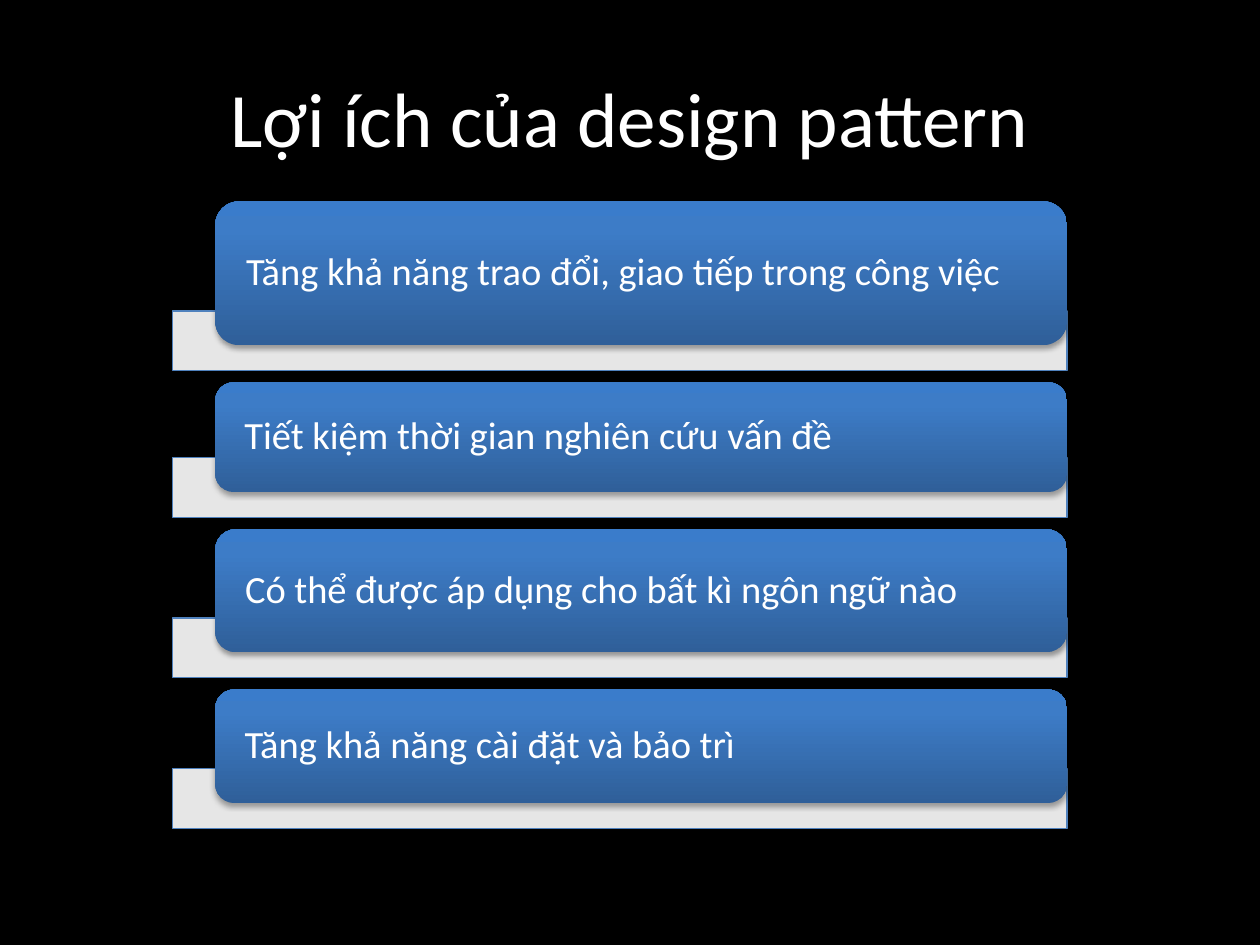
from dataclasses import dataclass

from lxml import etree
from pptx import Presentation
from pptx import util as u
from pptx.dml.color import RGBColor
from pptx.enum import shapes, text
from pptx.oxml import parse_xml
from pptx.oxml.ns import nsdecls, qn
from pptx.shapes.autoshape import Shape
from pptx.shapes.shapetree import GroupShapes

BLACK = RGBColor(0x00, 0x00, 0x00)
WHITE = RGBColor(0xFF, 0xFF, 0xFF)
BAR_LINE = RGBColor(0x4F, 0x81, 0xBD)
CARD_STOPS = (
    (0, RGBColor(0x2F, 0x5F, 0x99)),
    (80, RGBColor(0x3D, 0x7C, 0xC7)),
    (100, RGBColor(0x3A, 0x7C, 0xCB)),
)
FONT = "Calibri"

LIST_TOP = 4.06
BAR_LEFT, BAR_WIDTH, BAR_HEIGHT = 3.48, 18.03, 1.2
CARD_LEFT, CARD_WIDTH = 4.34, 17.17
OVERLAP, GAP = 0.69, 0.24


@dataclass
class Benefit:
    """One list entry and the height of its card in centimetres."""
    label: str
    height: float


BENEFITS = (
    Benefit("Tăng khả năng trao đổi, giao tiếp trong công việc", 2.9),
    Benefit("Tiết kiệm thời gian nghiên cứu vấn đề", 2.21),
    Benefit("Có thể được áp dụng cho bất kì ngôn ngữ nào", 2.48),
    Benefit("Tăng khả năng cài đặt và bảo trì", 2.29),
)


def style_text(sp: Shape, size: float, align: text.PP_ALIGN) -> None:
    """Format the single paragraph of a shape."""
    sp.text_frame.word_wrap = True
    sp.text_frame.vertical_anchor = text.MSO_ANCHOR.MIDDLE
    p = sp.text_frame.paragraphs[0]
    p.alignment = align
    for r in p.runs:
        r.font.name = FONT
        r.font.size = u.Pt(size)
        r.font.color.rgb = WHITE


def style_card(sp: Shape) -> None:
    """Give a card its upward gradient and soft drop shadow."""
    stops = "".join(
        f'<a:gs pos="{pos * 1000}"><a:srgbClr val="{color}"/></a:gs>'
        for pos, color in CARD_STOPS
    )
    sp.line.fill.background()
    sp.fill.background()
    sp_pr = sp._element.spPr
    sp_pr.replace(sp_pr.find(qn("a:noFill")), parse_xml(
        f'<a:gradFill {nsdecls("a")} rotWithShape="1"><a:gsLst>{stops}</a:gsLst>'
        '<a:lin ang="16200000" scaled="0"/></a:gradFill>'))
    sp_pr.append(parse_xml(
        f'<a:effectLst {nsdecls("a")}><a:outerShdw blurRad="{u.Pt(3.1)}" '
        f'dist="{u.Pt(1.8)}" dir="5400000" rotWithShape="0">'
        f'<a:srgbClr val="{BLACK}"><a:alpha val="35000"/></a:srgbClr>'
        '</a:outerShdw></a:effectLst>'))


def add_bar(group: GroupShapes, top: float) -> None:
    """Draw the translucent bar behind a card."""
    sp = group.add_shape(shapes.MSO_SHAPE.RECTANGLE, u.Cm(BAR_LEFT), u.Cm(top),
                         u.Cm(BAR_WIDTH), u.Cm(BAR_HEIGHT))
    sp.shadow.inherit = False
    sp.fill.solid()
    sp.fill.fore_color.rgb = WHITE
    color = sp._element.spPr.find(qn("a:solidFill")).find(qn("a:srgbClr"))
    etree.SubElement(color, qn("a:alpha"), val="90000")
    sp.line.color.rgb = BAR_LINE
    sp.line.width = u.Pt(0.75)


def add_card(group: GroupShapes, top: float, benefit: Benefit) -> None:
    """Draw the rounded card with its label."""
    sp = group.add_shape(shapes.MSO_SHAPE.ROUNDED_RECTANGLE, u.Cm(CARD_LEFT),
                         u.Cm(top), u.Cm(CARD_WIDTH), u.Cm(benefit.height))
    style_card(sp)
    tf = sp.text_frame
    tf.text = benefit.label
    tf.margin_left = tf.margin_right = u.Cm(0.48)
    tf.margin_top = tf.margin_bottom = 0
    p = tf.paragraphs[0]
    p.line_spacing = 0.9
    p.space_after = u.Pt(7.7)
    style_text(sp, 22, text.PP_ALIGN.LEFT)


def main() -> None:
    """Build and save the slide."""
    prs = Presentation()
    prs.slide_width, prs.slide_height = u.Cm(25.4), u.Cm(19.05)
    slide = prs.slides.add_slide(prs.slide_layouts[5])
    slide.background.fill.solid()
    slide.background.fill.fore_color.rgb = BLACK

    title = slide.shapes.title
    title.left, title.top = u.Cm(1.27), u.Cm(0.76)
    title.width, title.height = u.Cm(22.86), u.Cm(3.18)
    title.text_frame.text = "Lợi ích của design pattern"
    style_text(title, 44, text.PP_ALIGN.CENTER)

    group = slide.shapes.add_group_shape().shapes
    top = LIST_TOP
    for benefit in BENEFITS:
        bar_top = top + benefit.height - OVERLAP
        add_bar(group, bar_top)
        add_card(group, top, benefit)
        top = bar_top + BAR_HEIGHT + GAP

    prs.save("out.pptx")


main()
